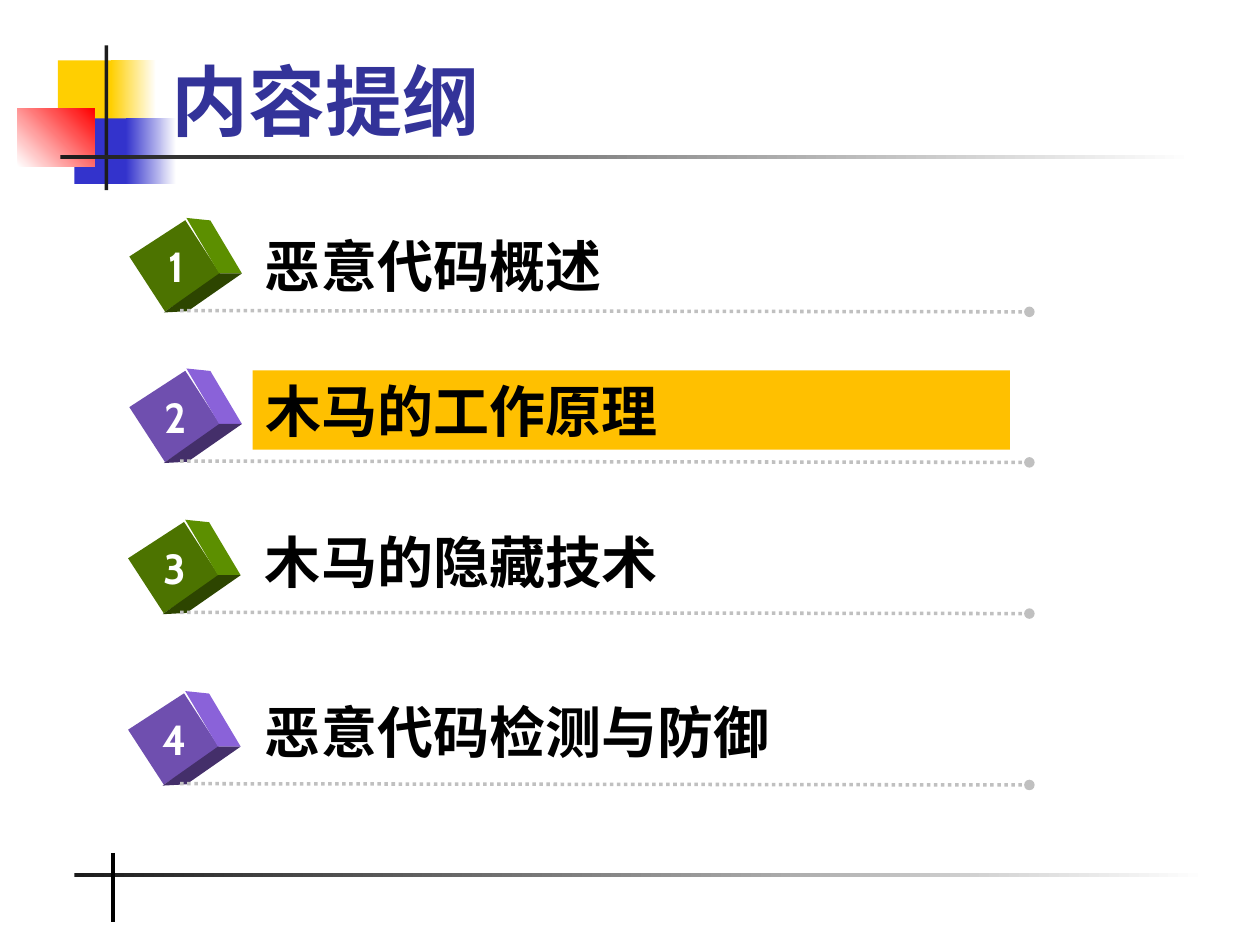
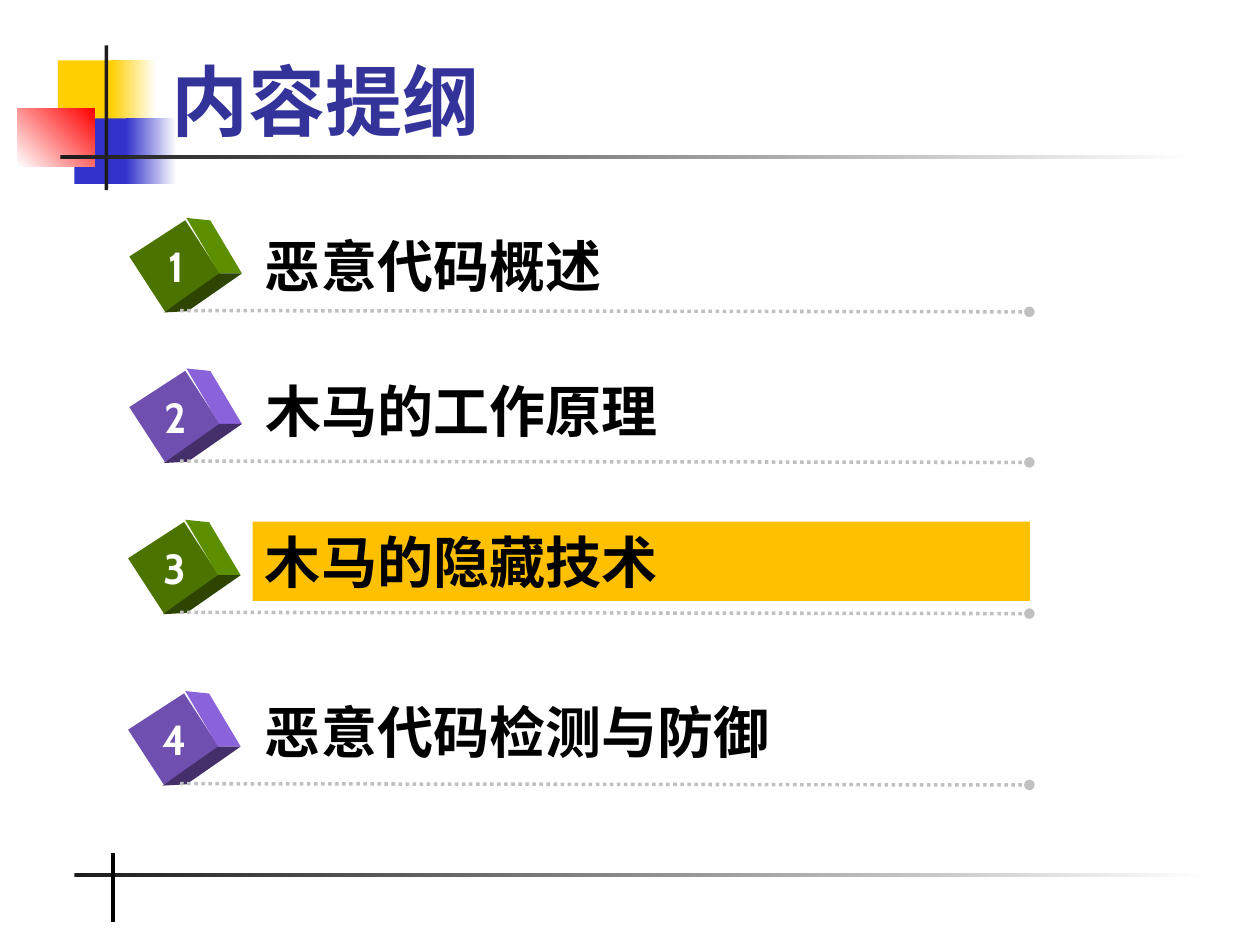
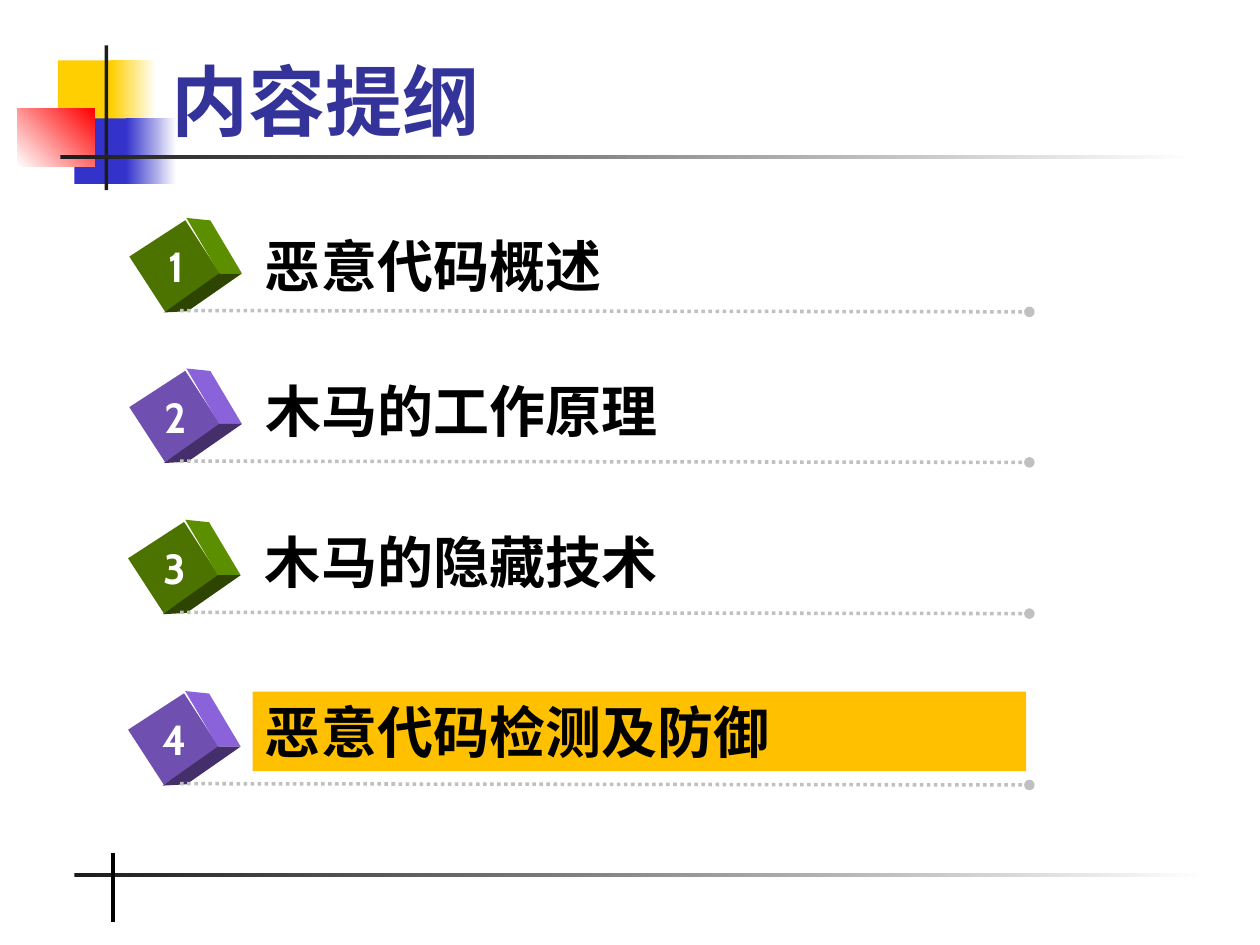
from lxml.etree import SubElement
from pptx import Presentation
from pptx.dml.color import RGBColor
from pptx.enum.dml import MSO_LINE as Dash
from pptx.enum.shapes import MSO_CONNECTOR as Link, MSO_SHAPE as Form
from pptx.enum.text import MSO_ANCHOR as Anchor, MSO_AUTO_SIZE as Fit, PP_ALIGN as Align
from pptx.oxml.ns import qn
from pptx.util import Inches, Pt

deck = Presentation()
deck.slide_width, deck.slide_height = Inches(10), Inches(7.5)
cell = deck.slide_width // 100  # grid of 100 columns and 75 rows

# Shared colours
GOLD, BLUE, RED, DARK, WHITE = "FFCF01", "3333CC", "FF0000", "1C1C1C", "FFFFFF"
BLACK, GREY, NAVY, MARK = "000000", "C0C0C0", "333399", "FFC000"
GREEN = ("4C7300", "5C8F00", "2D4500")  # front, side, base of a cube
PURPLE = ("6F4FAF", "8A62D9", "442F6A")

# Shared decoration: left, top, width, height, colours, angle
DECOR = [
    (4.6, 4.8, 4.8, 5.2, [GOLD], 0),
    (8.8, 4.8, 3.6, 5.2, [GOLD, WHITE], 0),
    (5.9, 9.4, 4.6, 5.2, [BLUE], 0),
    (10, 9.4, 4, 5.2, [BLUE, WHITE], 0),
    (1.4, 8.6, 6.1, 4.6, [WHITE, RED], 45),
    (8.3, 3.6, 0.3, 11.5, [DARK], 0),
    (4.8, 12.3, 90, 0.3, [DARK, WHITE], 0),
    (5.9, 69.3, 90, 0.3, [DARK, WHITE], 0),
]

# Cube faces as offsets from the centre of the front
SIDE = [(0.9, -3.8), (2.8, -3.6), (5.3, 0.6), (3.5, 0.6)]
BASE = [(3.5, 0.6), (5.3, 0.6), (1, 3.6), (-0.9, 3.7)]

# Agenda rows: centre of cube, top and width of label, cube colours
ROWS = [
    (13.9, 21.1, 17.9, 62.6, GREEN),
    (13.9, 33.05, 29.4, 60.1, PURPLE),
    (13.8, 45.05, 41.4, 61.7, GREEN),
    (13.8, 58.65, 54.9, 61.4, PURPLE),
]
TOPICS = ["恶意代码概述", "木马的工作原理", "木马的隐藏技术"]
PAGES = [(1, "恶意代码检测与防御"), (2, "恶意代码检测与防御"), (3, "恶意代码检测及防御")]


def paint(shape, hues, angle=0):
    shape.shadow.inherit = False
    shape.line.fill.background()
    if len(hues) == 1:
        shape.fill.solid()
        shape.fill.fore_color.rgb = RGBColor.from_string(hues[0])
    else:
        shape.fill.gradient()
        shape.fill.gradient_angle = angle
        for stop, hue in zip(shape.fill.gradient_stops, hues):
            stop.color.rgb = RGBColor.from_string(hue)


def write(shape, text, size, face, hue, align=Align.LEFT, fit=Fit.SHAPE_TO_FIT_TEXT):
    frame = shape.text_frame
    frame.word_wrap = align == Align.LEFT
    frame.auto_size = fit
    frame.vertical_anchor = Anchor.TOP if fit == Fit.SHAPE_TO_FIT_TEXT else Anchor.BOTTOM
    frame.paragraphs[0].alignment = align
    run = frame.paragraphs[0].add_run()
    run.text = text
    run.font.name, run.font.size, run.font.bold = face, Pt(size), True
    run.font.color.rgb = RGBColor.from_string(hue)


for chosen, last in PAGES:
    shapes = deck.slides.add_slide(deck.slide_layouts[6]).shapes

    # Corner blocks and bands
    for *at, hues, angle in DECOR:
        block = shapes.add_shape(Form.RECTANGLE, *[int(v * cell) for v in at])
        paint(block, hues, angle)

    # Title
    title = shapes.add_textbox(*[int(v * cell) for v in (12.6, 1.6, 85.2, 10.5)])
    write(title, "内容提纲", 44, "Times New Roman", NAVY, fit=Fit.NONE)

    # Agenda
    lines = [(9, 67.7, 9, 73.2, BLACK, 2.25)]
    for n, (x, y, top, wide, hues) in enumerate(ROWS):
        front = shapes.add_shape(Form.RECTANGLE, *[
            int(v * cell) for v in (x - 2.6, y - 2.65, 5.2, 5.3)])
        front.rotation = 57
        paint(front, hues[:1])
        for face, hue in zip((SIDE, BASE), hues[1:]):
            dots = [(int((x + a) * cell), int((y + b) * cell)) for a, b in face]
            pen = shapes.build_freeform(*dots[0])
            pen.add_line_segments(dots[1:])
            paint(pen.convert_to_shape(), [hue])

        digit = shapes.add_textbox(*[int(v * cell) for v in (x - 1.9, y - 2.5, 3.9, 5)])
        write(digit, str(n + 1), 24, "Cabin", WHITE, Align.CENTER)

        at = [int(v * cell) for v in (20.05, top, wide, 6.3)]
        if n == chosen:
            label = shapes.add_shape(Form.RECTANGLE, *at)
            paint(label, [MARK])
        else:
            label = shapes.add_textbox(*at)
        write(label, (TOPICS + [last])[n], 32, "Cabin", BLACK)
        lines.append((14.3, y + 3.55, 81.7, y + 3.65, GREY, 2))

    # Footer tick and dotted rules
    for *ends, hue, width in lines:
        rule = shapes.add_connector(Link.STRAIGHT, *[int(v * cell) for v in ends])
        rule.line.color.rgb = RGBColor.from_string(hue)
        rule.line.width = Pt(width)
        if hue == GREY:
            rule.line.dash_style = Dash.ROUND_DOT
            SubElement(rule.line._get_or_add_ln(), qn("a:tailEnd"), type="oval")
        SubElement(rule._element.spPr, qn("a:effectLst"))

deck.save("out.pptx")
